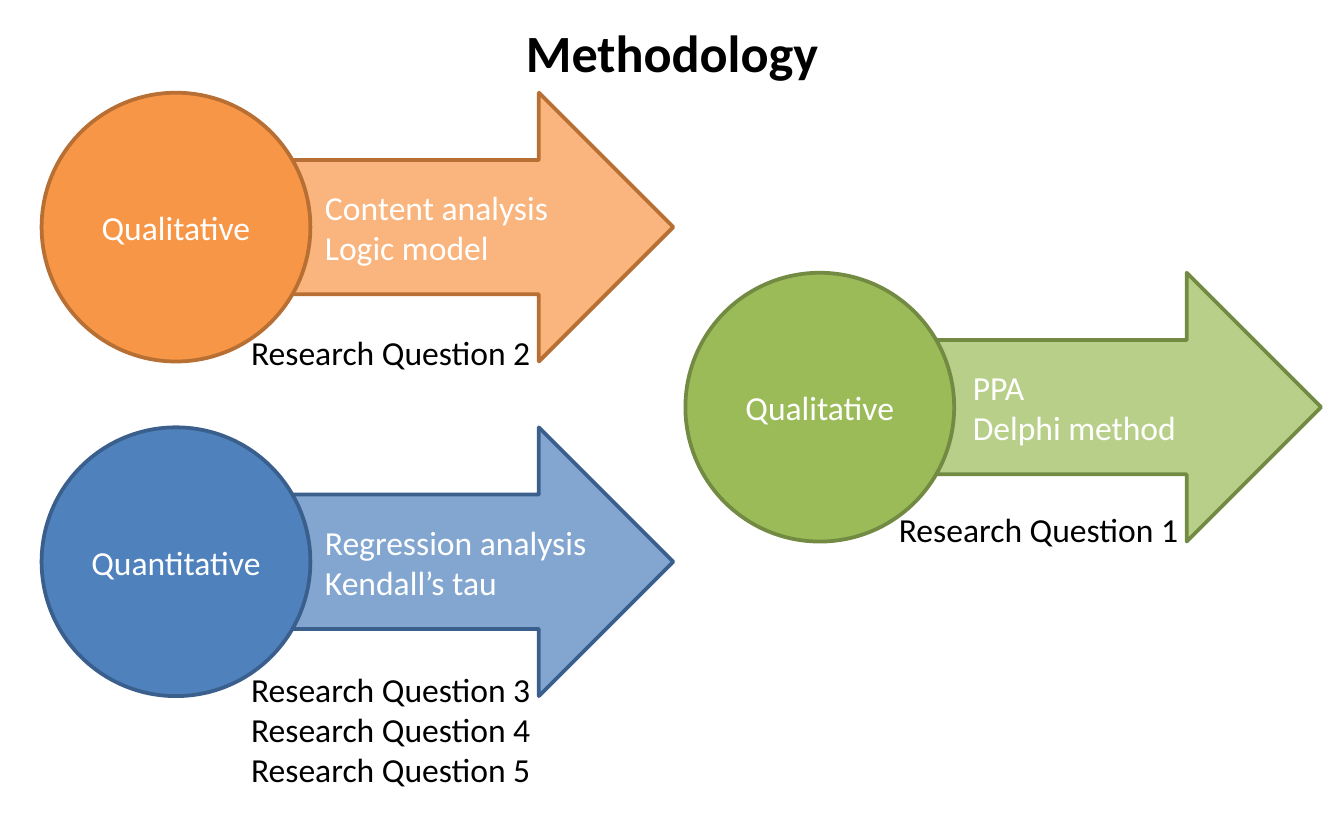
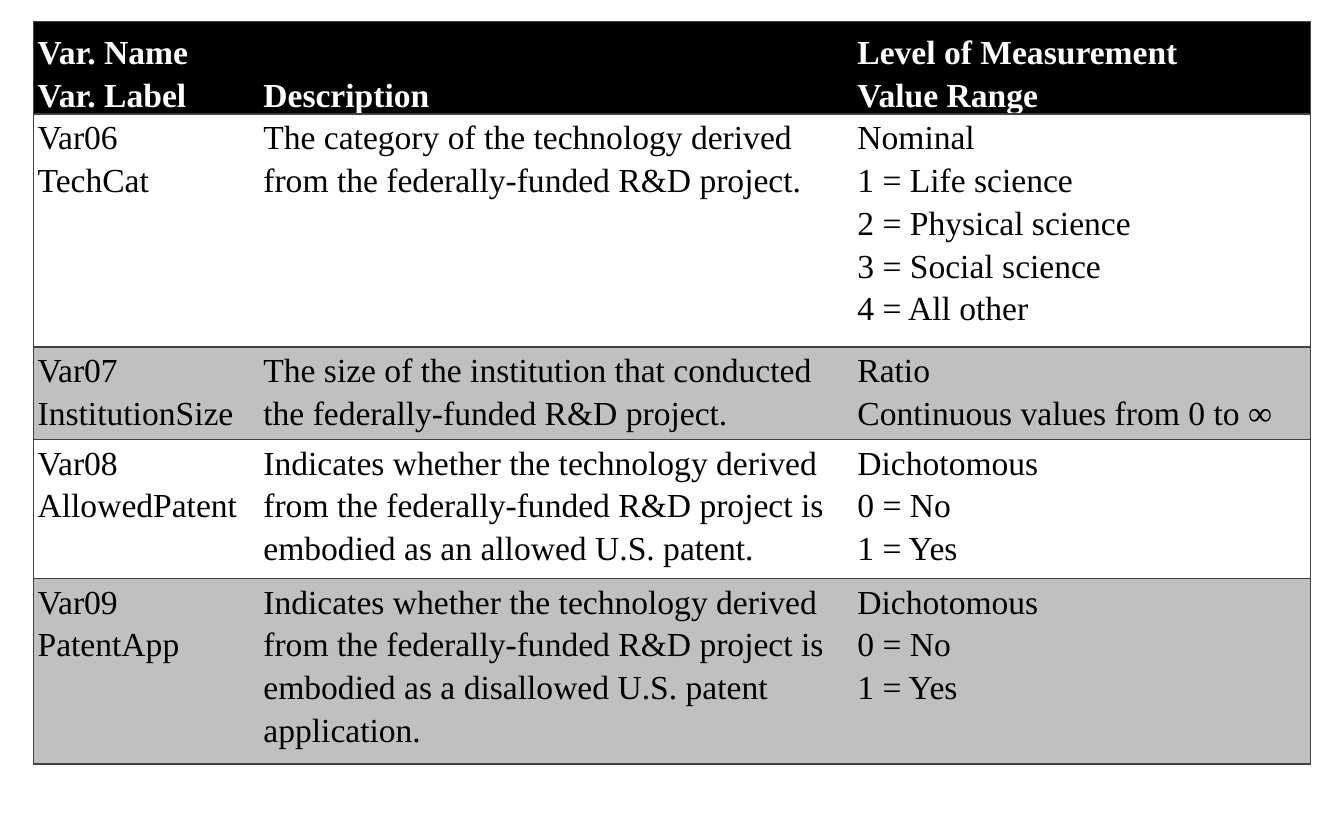
import pptx
import pptx.util
import pptx.dml.color
import pptx.enum.shapes
import pptx.enum.text
import pptx.oxml.ns
from lxml import etree

Inches = pptx.util.Inches
Pt = pptx.util.Pt
SHAPES = pptx.enum.shapes.MSO_SHAPE
ALIGN = pptx.enum.text.PP_ALIGN
ANCHOR = pptx.enum.text.MSO_ANCHOR
qn = pptx.oxml.ns.qn

COLORS = {
    "black": "000000", "white": "FFFFFF", "band": "C0C0C0", "rule": "404040",
    "orange": "F79646", "orange line": "B76F34",
    "blue": "4F81BD", "blue line": "3A5F8C",
    "green": "9BBB59", "green line": "738A42",
}
BODY_FONT, TABLE_FONT = "Calibri", "Times New Roman"
BODY_SIZE, TITLE_SIZE = 18, 28

TITLE = "Methodology"
DIAMETER = 2
ARROW_WIDTH = 3
QUESTION_STEP = 0.295
# Positions are (left, top) in inches; arrows share the top of their circle.
STRANDS = [
    {"name": "Qualitative", "color": "green", "circle": (5.1, 2.03), "arrow_left": 6.83,
     "methods": ["PPA", "Delphi method"],
     "questions": ["Research Question 1"], "questions_at": (6.59, 3.74)},
    {"name": "Quantitative", "color": "blue", "circle": (0.31, 3.18), "arrow_left": 2.01,
     "methods": ["Regression analysis", "Kendall’s tau"],
     "questions": ["Research Question 3", "Research Question 4", "Research Question 5"],
     "questions_at": (1.77, 4.93)},
    {"name": "Qualitative", "color": "orange", "circle": (0.31, 0.69), "arrow_left": 2.01,
     "methods": ["Content analysis", "Logic model"],
     "questions": ["Research Question 2"], "questions_at": (1.77, 2.42)},
]

COLUMN_WIDTHS = [1.68, 4.42, 3.4]
ROW_HEIGHTS = [0.69, 1.73, 0.69, 1.03, 1.38]
VARIABLES = [
    ("Var. Name\nVar. Label", "Description", "Level of Measurement\nValue Range"),
    ("Var06\nTechCat",
     "The category of the technology derived from the federally-funded R&D project.",
     "Nominal\n1 = Life science\n2 = Physical science\n3 = Social science\n4 = All other"),
    ("Var07\nInstitutionSize",
     "The size of the institution that conducted the federally-funded R&D project.",
     "Ratio\nContinuous values from 0 to ∞"),
    ("Var08\nAllowedPatent",
     "Indicates whether the technology derived from the federally-funded R&D project "
     "is embodied as an allowed U.S. patent.",
     "Dichotomous\n0 = No\n1 = Yes"),
    ("Var09\nPatentApp",
     "Indicates whether the technology derived from the federally-funded R&D project "
     "is embodied as a disallowed U.S. patent application.",
     "Dichotomous\n0 = No\n1 = Yes"),
]


def rgb(name):
    return pptx.dml.color.RGBColor.from_string(COLORS[name])


def write(frame, text, color, font=BODY_FONT, size=BODY_SIZE, bold=False,
          align=ALIGN.LEFT, spacing=None):
    frame.text = text
    for para in frame.paragraphs:
        para.alignment = align
        if spacing:
            para.line_spacing = spacing
        for span in para.runs:
            span.font.name = font
            span.font.size = Pt(size)
            span.font.bold = bold
            span.font.color.rgb = rgb(color)


def add_label(page, left, top, width, height, text, **style):
    box = page.shapes.add_textbox(Inches(left), Inches(top), Inches(width), Inches(height))
    box.text_frame.word_wrap = False
    box.text_frame.auto_size = pptx.enum.text.MSO_AUTO_SIZE.SHAPE_TO_FIT_TEXT
    write(box.text_frame, text, "black", **style)


def add_block(page, kind, left, top, width, color):
    block = page.shapes.add_shape(kind, Inches(left), Inches(top), Inches(width),
                                  Inches(DIAMETER))
    block.shadow.inherit = False
    block.fill.solid()
    block.fill.fore_color.rgb = rgb(color)
    block.line.color.rgb = rgb(color + " line")
    block.line.width = Pt(2)
    block.text_frame.vertical_anchor = ANCHOR.MIDDLE
    return block


def add_arrow(page, strand):
    arrow = add_block(page, SHAPES.RIGHT_ARROW, strand["arrow_left"], strand["circle"][1],
                      ARROW_WIDTH, strand["color"])
    tint = arrow.fill._xPr.find(qn("a:solidFill"))[0]
    etree.SubElement(tint, qn("a:alpha")).set("val", "70000")
    write(arrow.text_frame, "\n".join(strand["methods"]), "white")
    for para in arrow.text_frame.paragraphs:
        properties = para._p.get_or_add_pPr()
        indent = Inches(0.31)
        properties.set("marL", str(indent))
        properties.set("indent", str(-indent))
        etree.SubElement(properties, qn("a:buFont")).set("typeface", "Arial")
        etree.SubElement(properties, qn("a:buChar")).set("char", "•")


def add_circle(page, strand):
    circle = add_block(page, SHAPES.OVAL, *strand["circle"], DIAMETER, strand["color"])
    circle.text_frame.margin_left = circle.text_frame.margin_right = 0
    write(circle.text_frame, strand["name"], "white", align=ALIGN.CENTER)


def set_borders(cell, ruled_sides):
    """Rule the given sides (of L, R, T, B) and clear the others."""
    properties = cell._tc.get_or_add_tcPr()
    for position, side in enumerate("LRTB"):
        edge = etree.Element(qn("a:ln" + side), w=str(Pt(1)))
        if side in ruled_sides:
            fill = etree.SubElement(edge, qn("a:solidFill"))
            etree.SubElement(fill, qn("a:srgbClr")).set("val", COLORS["rule"])
        else:
            etree.SubElement(edge, qn("a:noFill"))
        properties.insert(position, edge)


def build_methodology(page):
    for strand in STRANDS:
        add_arrow(page, strand)
    add_label(page, 0, 0.1, 10, 0.57, TITLE, size=TITLE_SIZE, bold=True, align=ALIGN.CENTER)
    for strand in STRANDS:
        left, top = strand["questions_at"]
        for index, question in enumerate(strand["questions"]):
            add_label(page, left, top + index * QUESTION_STEP, 2.3, 0.4, question)
    for strand in STRANDS:
        add_circle(page, strand)


def build_variables(page):
    table = page.shapes.add_table(
        len(VARIABLES), len(COLUMN_WIDTHS), Inches(0.25), Inches(0.16),
        Inches(sum(COLUMN_WIDTHS)), Inches(sum(ROW_HEIGHTS))).table
    table.first_row = table.horz_banding = False
    for column, width in zip(table.columns, COLUMN_WIDTHS):
        column.width = Inches(width)
    for row, height in zip(table.rows, ROW_HEIGHTS):
        row.height = Inches(height)

    for row_index, texts in enumerate(VARIABLES):
        header = row_index == 0
        for column_index, text in enumerate(texts):
            cell = table.cell(row_index, column_index)
            cell.margin_left = cell.margin_right = Inches(0.03)
            cell.margin_top = cell.margin_bottom = 0
            cell.vertical_anchor = ANCHOR.BOTTOM if header else ANCHOR.TOP
            write(cell.text_frame, text, "white" if header else "black",
                  font=TABLE_FONT, bold=header, spacing=1.15)
            if row_index % 2:
                cell.fill.background()
            else:
                cell.fill.solid()
                cell.fill.fore_color.rgb = rgb("black" if header else "band")
            set_borders(cell, ("LTB", "TB", "RTB")[column_index])


def main():
    deck = pptx.Presentation()
    deck.slide_width, deck.slide_height = Inches(10), Inches(6.25)
    for build in (build_methodology, build_variables):
        build(deck.slides.add_slide(deck.slide_layouts[6]))
    deck.save("out.pptx")


if __name__ == "__main__":
    main()
